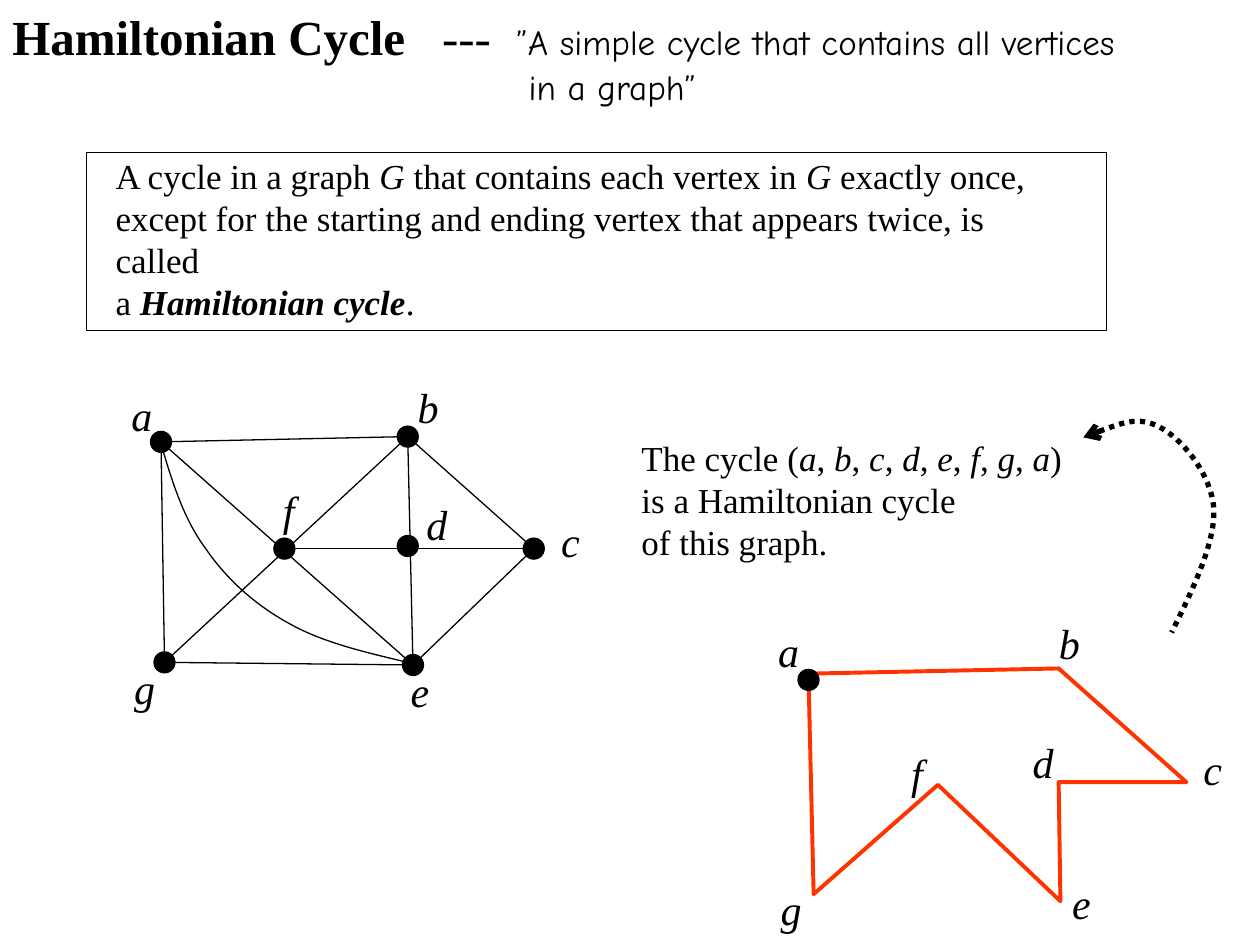
"""Build a slide that defines a Hamiltonian cycle and shows one in a graph."""
import pptx
import pptx.dml.color
import pptx.enum.dml
import pptx.enum.shapes
import pptx.enum.text
import pptx.oxml
import pptx.oxml.ns
import pptx.util

Pt = pptx.util.Pt
qn = pptx.oxml.ns.qn
BLACK = pptx.dml.color.RGBColor(0x00, 0x00, 0x00)
RED = pptx.dml.color.RGBColor(0xFF, 0x33, 0x00)
SERIF = "Times New Roman"
HAND = "Comic Neue"
DOT = 12
LABEL_WIDTH, LABEL_HEIGHT = 26, 36

HEADING = [
    [("Hamiltonian Cycle\t", {"bold": True, "size": 28}), ("---\t", {"size": 28}),
     ("”A simple cycle that contains all vertices", {"font": HAND})],
    [("in a graph”", {"font": HAND})],
]
HEADING_TABS = (245.5, 288)
HEADING_INDENT = 295
DEFINITION = [
    [("A cycle in a graph ", {}), ("G", {"italic": True}),
     (" that contains each vertex in ", {}), ("G", {"italic": True}),
     (" exactly once,", {})],
    [("except for the starting and ending vertex that appears twice, is called", {})],
    [("a ", {}), ("Hamiltonian cycle", {"bold": True, "italic": True}), (".", {})],
]
CYCLE = "abcdefga"
VERTICES = {
    "a": (92, 252.5), "b": (233, 249.5), "c": (305, 313.5), "d": (233, 312),
    "e": (236, 380), "f": (162.5, 313.5), "g": (94, 378.5),
}
EDGES = ("ae", "gb", "ec", "bc", "fc", "be", "ab", "ge", "ag")
CURVED_EDGE = [
    (91.5, 252), (98, 274), (104.5, 296), (117.5, 313.5), (129.5, 331),
    (146, 346), (166.5, 357), (186.5, 368), (212, 373.5), (237, 379.5),
]
GRAPH_LABELS = {
    "a": (81, 237), "b": (244.5, 232.5), "c": (326, 309), "d": (249.5, 299),
    "e": (240, 394.5), "f": (165, 291), "g": (82.5, 393),
}
CYCLE_OUTLINE = [
    (462, 385), (605, 382), (678, 447), (605, 447), (606, 515), (536, 448.5), (465, 511),
]
CYCLE_START = (462, 388.5)
CYCLE_LABELS = {
    "a": (450.5, 372), "b": (611, 367), "c": (693, 439), "d": (596, 435),
    "e": (618, 516), "f": (524, 441.5), "g": (452, 519),
}
POINTER = [
    (619, 250), (635, 244), (650, 237.5), (662.5, 244), (675, 250.5),
    (691.5, 270), (693.5, 289.5), (695, 309), (682.5, 335), (669.5, 361.5),
]


def add_text(shapes, paragraphs, left, top, width, height, *, size=20, wrap=True,
             align=pptx.enum.text.PP_ALIGN.LEFT):
    frame = shapes.add_textbox(Pt(left), Pt(top), Pt(width), Pt(height)).text_frame
    frame.word_wrap = wrap
    frame.vertical_anchor = pptx.enum.text.MSO_ANCHOR.MIDDLE
    for index, runs in enumerate(paragraphs):
        paragraph = frame.add_paragraph() if index else frame.paragraphs[0]
        paragraph.alignment = align
        for text, style in runs:
            run = paragraph.add_run()
            run.text = text
            run.font.name = style.get("font", SERIF)
            run.font.size = Pt(style.get("size", size))
            run.font.bold = style.get("bold", False)
            run.font.italic = style.get("italic", False)
            run.font.color.rgb = BLACK
    return frame


def set_line(part, color=BLACK, width=0.75):
    part.line.color.rgb = color
    part.line.width = Pt(width)


def add_dot(shapes, center):
    x, y = center
    dot = shapes.add_shape(pptx.enum.shapes.MSO_SHAPE.OVAL, Pt(x - DOT / 2),
                           Pt(y - DOT / 2), Pt(DOT), Pt(DOT))
    dot.shadow.inherit = False
    dot.fill.solid()
    dot.fill.fore_color.rgb = BLACK
    set_line(dot)


def add_edge(shapes, start, end):
    edge = shapes.add_connector(pptx.enum.shapes.MSO_CONNECTOR.STRAIGHT,
                                *(Pt(value) for value in start + end))
    set_line(edge)
    pptx.oxml.ns.qn
    edge._element.spPr.append(edge._element.makeelement(qn("a:effectLst"), {}))


def add_outline(shapes, points, closed=False, color=BLACK, width=0.75):
    start, *rest = [(Pt(x), Pt(y)) for x, y in points]
    builder = shapes.build_freeform(*start)
    builder.add_line_segments(rest, close=closed)
    outline = builder.convert_to_shape()
    outline.shadow.inherit = False
    outline.fill.background()
    set_line(outline, color, width)
    return outline


def add_curve(shapes, points, width=0.75):
    curve = add_outline(shapes, points, width=width)
    segments = list(curve._element.iter(qn("a:lnTo")))
    for first in range(0, len(segments), 3):
        bezier = curve._element.makeelement(qn("a:cubicBezTo"), {})
        segments[first].addprevious(bezier)
        for segment in segments[first:first + 3]:
            bezier.append(segment[0])
            segment.getparent().remove(segment)
    return curve


def add_labels(shapes, labels):
    for letter, (x, y) in labels.items():
        add_text(shapes, [[(letter, {"italic": True})]], x - LABEL_WIDTH / 2,
                 y - LABEL_HEIGHT / 2, LABEL_WIDTH, LABEL_HEIGHT, size=24, wrap=False,
                 align=pptx.enum.text.PP_ALIGN.CENTER)


def add_heading(shapes):
    first, second = add_text(shapes, HEADING, 0, 0, 691, 65).paragraphs
    properties = first._p.get_or_add_pPr()
    tabs = properties.makeelement(qn("a:tabLst"), {})
    properties.append(tabs)
    for position in HEADING_TABS:
        tabs.append(tabs.makeelement(qn("a:tab"), {"pos": str(Pt(position)), "algn": "l"}))
    second._p.get_or_add_pPr().set("marL", str(Pt(HEADING_INDENT)))


def add_definition(shapes):
    add_text(shapes, DEFINITION, 59, 97, 562, 79)
    frame = shapes.add_shape(pptx.enum.shapes.MSO_SHAPE.RECTANGLE,
                             Pt(49.5), Pt(87), Pt(583), Pt(102))
    frame.shadow.inherit = False
    frame.fill.background()
    set_line(frame)


def add_graph(shapes):
    graph = shapes.add_group_shape().shapes
    for start, end in EDGES:
        add_edge(graph, VERTICES[start], VERTICES[end])
    add_curve(graph, CURVED_EDGE)
    for center in VERTICES.values():
        add_dot(graph, center)
    add_labels(graph, GRAPH_LABELS)


def add_cycle(shapes):
    listing = [("The cycle (", {})]
    for index, letter in enumerate(CYCLE):
        separator = ", " if index < len(CYCLE) - 1 else ")"
        listing += [(letter, {"italic": True}), (separator, {})]
    statement = [listing, [("is a Hamiltonian cycle", {})], [("of this graph.", {})]]
    add_text(shapes, statement, 359.5, 246, 260, 79)
    add_outline(shapes, CYCLE_OUTLINE, closed=True, color=RED, width=2.25)
    add_labels(shapes, CYCLE_LABELS)
    add_dot(shapes, CYCLE_START)
    pointer = add_curve(shapes, POINTER, width=3)
    pointer.line.dash_style = pptx.enum.dml.MSO_LINE.ROUND_DOT
    line = pointer.line._get_or_add_ln()
    line.append(line.makeelement(qn("a:headEnd"), {"type": "arrow"}))


def main():
    deck = pptx.Presentation()
    deck.slide_width, deck.slide_height = Pt(720), Pt(540)
    shapes = deck.slides.add_slide(deck.slide_layouts[6]).shapes
    for add_part in (add_heading, add_definition, add_graph, add_cycle):
        add_part(shapes)
    deck.save("out.pptx")


if __name__ == "__main__":
    main()
